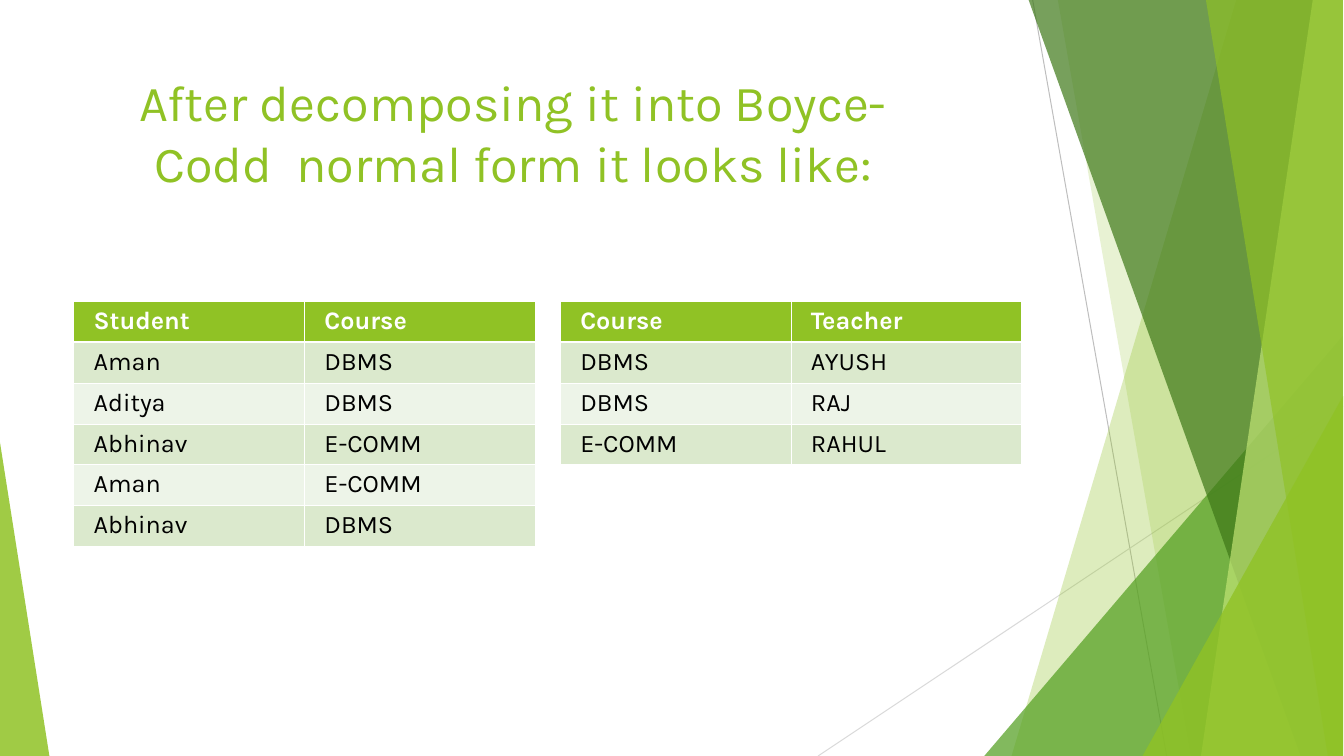
from dataclasses import dataclass

from lxml import etree
from pptx import Presentation
from pptx import util as u
from pptx.dml.color import RGBColor
from pptx.enum import shapes, text
from pptx.oxml import ns


@dataclass(frozen=True)
class Theme:
    font: str = "Karla"
    title_size: int = 36
    table_size: int = 18
    accent: str = "90C225"
    mid_green: str = "539F20"
    dark_green: str = "3E7818"
    pale_green: str = "C0E374"
    odd_row: str = "DBE9CD"
    even_row: str = "EDF4E8"
    white: str = "FFFFFF"
    black: str = "000000"
    steep_line: str = "BEBEBE"
    shallow_line: str = "D9D9D9"


theme = Theme()


def add_run(paragraph, content, size, color, bold=False):
    run = paragraph.add_run()
    run.text = content
    run.font.name = theme.font
    run.font.size = u.Pt(size)
    run.font.bold = bold
    run.font.color.rgb = RGBColor.from_string(color)


def add_border(cell, side, width):
    properties = cell._tc.get_or_add_tcPr()
    line = etree.SubElement(properties, ns.qn(f"a:ln{side}"), w=str(u.Pt(width)))
    fill = etree.SubElement(line, ns.qn("a:solidFill"))
    etree.SubElement(fill, ns.qn("a:srgbClr"), val=theme.white)


presentation = Presentation()
presentation.slide_width = u.Inches(13.34)
presentation.slide_height = u.Inches(7.5)
slide = presentation.slides.add_slide(presentation.slide_layouts[6])

# Thin lines behind the facets
RIGHT, BOTTOM = 13.33, 7.5
for x1, y1, x2, y2, color in [
    (10.25, 0, 11.58, BOTTOM, theme.steep_line),
    (RIGHT, 4.03, 8.12, BOTTOM, theme.shallow_line),
]:
    connector = slide.shapes.add_connector(
        shapes.MSO_CONNECTOR.STRAIGHT,
        u.Inches(x1), u.Inches(y1), u.Inches(x2), u.Inches(y2))
    connector.line.color.rgb = RGBColor.from_string(color)
    connector.line.width = u.Pt(0.71)
    etree.SubElement(connector._element.spPr, ns.qn("a:effectLst"))

# Translucent facets: corner points, colour, opacity in percent
corner = (RIGHT, BOTTOM)
facets = [
    ([(RIGHT, 0), (12.27, 0), (10.04, BOTTOM), corner], theme.accent, 30),
    ([(RIGHT, 0), (10.5, 0), (11.82, BOTTOM), corner], theme.accent, 20),
    ([(RIGHT, 3.33), (9.77, BOTTOM), corner], theme.mid_green, 72),
    ([(RIGHT, 0), (10.21, 0), (12.91, BOTTOM), corner], theme.dark_green, 70),
    ([(RIGHT, 0), (13.03, 0), (11.92, BOTTOM), corner], theme.pale_green, 70),
    ([(RIGHT, 0), (11.97, 0), (13.18, BOTTOM), corner], theme.accent, 65),
    ([(RIGHT, 3.93), (11.34, BOTTOM), corner], theme.accent, 80),
    ([(0, 4.39), (0, BOTTOM), (0.49, BOTTOM)], theme.accent, 85),
]
for points, color, opacity in facets:
    start, *others = [(u.Inches(x), u.Inches(y)) for x, y in points]
    builder = slide.shapes.build_freeform(*start)
    builder.add_line_segments(others, close=True)
    facet = builder.convert_to_shape()
    facet.shadow.inherit = False
    facet.line.fill.background()
    facet.fill.solid()
    facet.fill.fore_color.rgb = RGBColor.from_string(color)
    color_element = facet._element.spPr.find(ns.qn("a:solidFill"))[0]
    etree.SubElement(color_element, ns.qn("a:alpha"), val=str(opacity * 1000))

# Title
title = slide.shapes.add_textbox(
    u.Inches(0.83), u.Inches(0.69), u.Inches(8.53), u.Inches(1.23))
frame = title.text_frame
frame.word_wrap = True
frame.margin_left = frame.margin_right = frame.margin_bottom = 0
frame.margin_top = u.Inches(0.02)
paragraph = frame.paragraphs[0]
paragraph.alignment = text.PP_ALIGN.CENTER
add_run(paragraph, "After decomposing it into Boyce-Codd  normal form it looks like:",
        theme.title_size, theme.accent)

# Decomposed relations
relations = [
    (0.73, [("Student", "Course"), ("Aman", "DBMS"), ("Aditya", "DBMS"),
            ("Abhinav", "E-COMM"), ("Aman", "E-COMM"), ("Abhinav", "DBMS")]),
    (5.56, [("Course", "Teacher"), ("DBMS", "AYUSH"), ("DBMS", "RAJ"),
            ("E-COMM", "RAHUL")]),
]
ROW_HEIGHT = 2.43 / 6
THIN, THICK = 0.45, 1.47
for left, rows in relations:
    table = slide.shapes.add_table(
        len(rows), 2, u.Inches(left), u.Inches(2.99),
        u.Inches(4.58), u.Inches(ROW_HEIGHT * len(rows))).table
    for row_index, row in enumerate(rows):
        header = row_index == 0
        if header:
            fill_color = theme.accent
        else:
            fill_color = theme.odd_row if row_index % 2 else theme.even_row
        for column_index, value in enumerate(row):
            cell = table.cell(row_index, column_index)
            cell.margin_left = u.Inches(0.2)
            cell.margin_top = cell.margin_bottom = u.Inches(0.05)
            add_border(cell, "L", THIN)
            add_border(cell, "R", THIN)
            add_border(cell, "T", THICK if row_index == 1 else THIN)
            add_border(cell, "B", THICK if header else THIN)
            cell.fill.solid()
            cell.fill.fore_color.rgb = RGBColor.from_string(fill_color)
            add_run(cell.text_frame.paragraphs[0], value, theme.table_size,
                    theme.white if header else theme.black, bold=header)

presentation.save("out.pptx")
